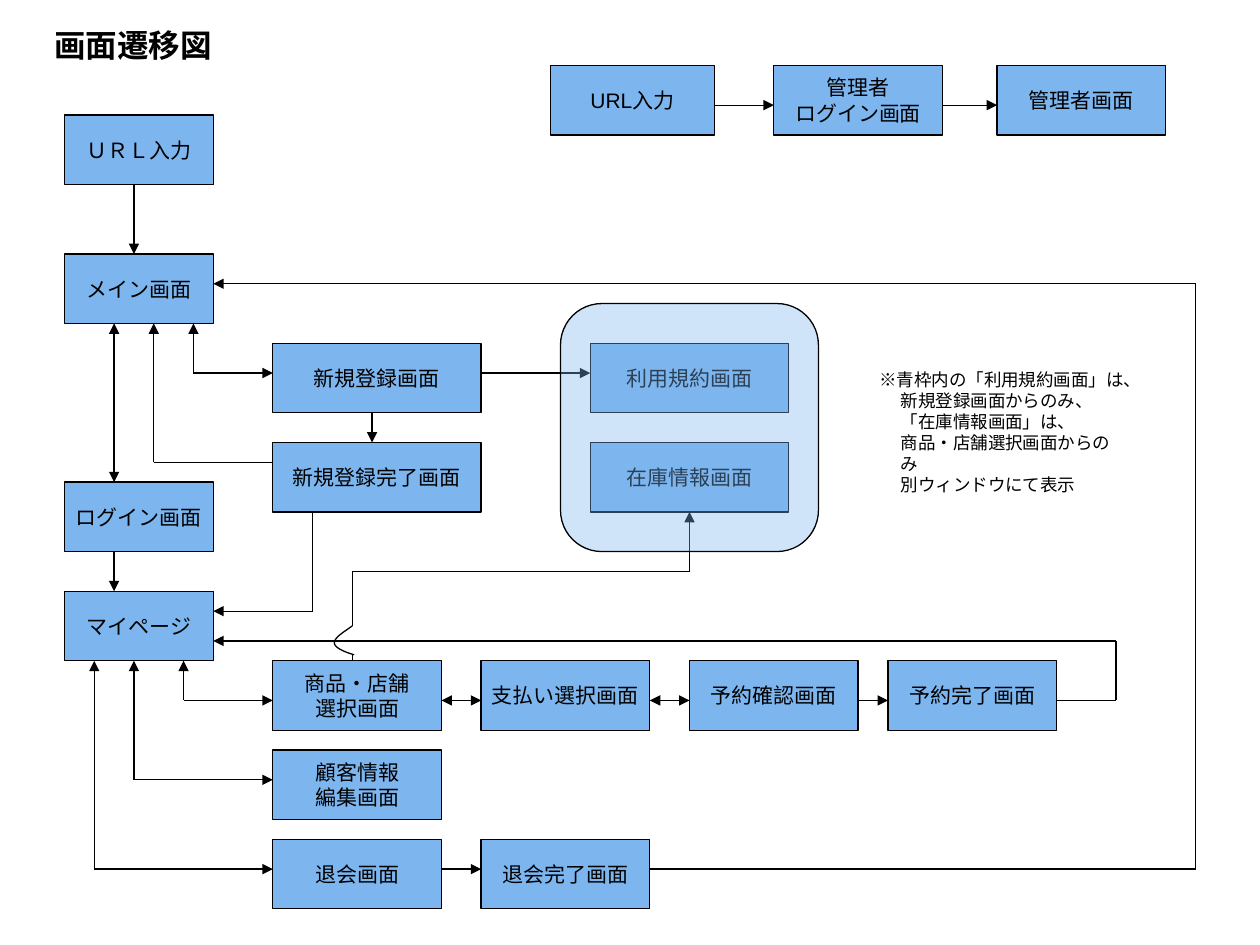
from dataclasses import dataclass

from lxml.etree import SubElement
from pptx import Presentation
from pptx.dml.color import RGBColor
from pptx.enum.shapes import MSO_CONNECTOR, MSO_SHAPE
from pptx.enum.text import MSO_ANCHOR, MSO_AUTO_SIZE, PP_ALIGN
from pptx.oxml.ns import qn
from pptx.util import Emu, Inches, Pt


@dataclass(frozen=True)
class Theme:
    font: str = "Arial"
    ink: RGBColor = RGBColor(0x00, 0x00, 0x00)
    box: RGBColor = RGBColor(0x7D, 0xB6, 0xEF)
    panel_alpha: int = 36000
    title_size: Pt = Pt(18)
    box_size: Pt = Pt(12)
    note_size: Pt = Pt(10)
    line_width: Pt = Pt(0.75)


@dataclass(frozen=True)
class Area:
    column: float
    row: float
    columns: float
    rows: float = 7

    def lengths(self) -> tuple:
        return x(self.column), y(self.row), Emu(int(self.columns * CELL)), Emu(int(self.rows * CELL))


@dataclass(frozen=True)
class Screen:
    label: str
    area: Area


@dataclass(frozen=True)
class Route:
    points: tuple
    start_arrow: bool = False
    end_arrow: bool = True


THEME = Theme()
SLIDE_WIDTH, SLIDE_HEIGHT = Inches(10), Inches(7.5)
CELL = SLIDE_WIDTH / 127
TOP_OFFSET = 0.6

LEFT, SECOND, THIRD, POPUP = 6.5, 27.5, 48.5, 59.5
MAIN_EDGE, MAIN_BOTTOM, MY_PAGE_BOTTOM = 21.5, 32, 66
NARROW, STANDARD, POPUP_WIDTH, WIDE = 15, 17, 20, 21
ADMIN_ROW, FLOW_ROW, EDIT_ROW, LEAVE_ROW = 6, 66, 75, 84

SCREENS = (
    Screen("ＵＲＬ入力", Area(LEFT, 11, NARROW)),
    Screen("メイン画面", Area(LEFT, 25, NARROW)),
    Screen("ログイン画面", Area(LEFT, 48, NARROW)),
    Screen("マイページ", Area(LEFT, 59, NARROW)),
    Screen("新規登録画面", Area(SECOND, 34, WIDE)),
    Screen("新規登録完了画面", Area(SECOND, 44, WIDE)),
    Screen("利用規約画面", Area(POPUP, 34, POPUP_WIDTH)),
    Screen("在庫情報画面", Area(POPUP, 44, POPUP_WIDTH)),
    Screen("商品・店舗\n選択画面", Area(SECOND, FLOW_ROW, STANDARD)),
    Screen("支払い選択画面", Area(THIRD, FLOW_ROW, STANDARD)),
    Screen("予約確認画面", Area(69.5, FLOW_ROW, STANDARD)),
    Screen("予約完了画面", Area(89.5, FLOW_ROW, STANDARD)),
    Screen("顧客情報\n編集画面", Area(SECOND, EDIT_ROW, STANDARD)),
    Screen("退会画面", Area(SECOND, LEAVE_ROW, STANDARD)),
    Screen("退会完了画面", Area(THIRD, LEAVE_ROW, STANDARD)),
    Screen("URL入力", Area(55.5, ADMIN_ROW, 16.5)),
    Screen("管理者\nログイン画面", Area(78, ADMIN_ROW, STANDARD)),
    Screen("管理者画面", Area(100.5, ADMIN_ROW, STANDARD)),
)

ROUTES = (
    Route(((13.5, 18), (13.5, 25))),
    Route(((11.5, MAIN_BOTTOM), (11.5, 48)), start_arrow=True),
    Route(((11.5, 55), (11.5, 59))),
    Route(((19.5, MAIN_BOTTOM), (19.5, 37), (SECOND, 37)), start_arrow=True),
    Route(((SECOND, 46), (15.5, 46), (15.5, MAIN_BOTTOM))),
    Route(((37.5, 41), (37.5, 44))),
    Route(((48.5, 37), (POPUP, 37))),
    Route(((31.5, 51), (31.5, 61), (MAIN_EDGE, 61))),
    Route(((18.5, MY_PAGE_BOTTOM), (18.5, 70), (SECOND, 70)), start_arrow=True),
    Route(((13.5, MY_PAGE_BOTTOM), (13.5, 78), (SECOND, 78)), start_arrow=True),
    Route(((9.5, MY_PAGE_BOTTOM), (9.5, 87), (SECOND, 87)), start_arrow=True),
    Route(((44.5, 70), (THIRD, 70)), start_arrow=True),
    Route(((65.5, 70), (69.5, 70)), start_arrow=True),
    Route(((86.5, 70), (89.5, 70))),
    Route(((106.5, 70), (112.5, 70), (112.5, 64), (MAIN_EDGE, 64))),
    Route(((44.5, 87), (THIRD, 87))),
    Route(((65.5, 87), (120.5, 87), (120.5, 28), (MAIN_EDGE, 28))),
    Route(((35.5, 66), (35.5, 65.4)), end_arrow=False),
    Route(((35.5, 62.5), (35.5, 57), (69.5, 57), (69.5, 51))),
    Route(((72, 10), (78, 10))),
    Route(((95, 10), (100.5, 10))),
)

BRIDGE_CURVES = (
    ((35.5, 62.5), (35, 62.9), (33.7, 63.6), (33.7, 64.2)),
    ((33.7, 64.2), (33.7, 64.8), (35.3, 65.3), (35.7, 65.4)),
)
CURVE_STEPS = 10

TITLE = "画面遷移図"
TITLE_AREA = Area(4.2, 1.4, 19.3, 5.1)
PANEL_AREA = Area(56.5, 30, 26, 25)
NOTE_AREA = Area(87.4, 36, 27.2, 16.1)
NOTE_INDENT = Inches(0.17)
NOTE_LINES = (
    "※青枠内の「利用規約画面」は、",
    "新規登録画面からのみ、",
    "「在庫情報画面」は、",
    "商品・店舗選択画面からのみ",
    "別ウィンドウにて表示",
)


def x(column: float) -> Emu:
    return Emu(int(column * CELL))


def y(row: float) -> Emu:
    return Emu(int((row + TOP_OFFSET) * CELL))


def format_text(text_frame, size: Pt, alignment, bold: bool = False) -> None:
    for paragraph in text_frame.paragraphs:
        paragraph.alignment = alignment
        paragraph.font.name = THEME.font
        paragraph.font.size = size
        paragraph.font.bold = bold
        paragraph.font.color.rgb = THEME.ink


def format_line(line) -> None:
    line.color.rgb = THEME.ink
    line.width = THEME.line_width


def add_block(slide, kind, area: Area):
    shape = slide.shapes.add_shape(kind, *area.lengths())
    shape.shadow.inherit = False
    shape.fill.solid()
    shape.fill.fore_color.rgb = THEME.box
    format_line(shape.line)
    return shape


def add_screen(slide, screen: Screen) -> None:
    text_frame = add_block(slide, MSO_SHAPE.FLOWCHART_PROCESS, screen.area).text_frame
    text_frame.text = screen.label
    text_frame.word_wrap = False
    text_frame.vertical_anchor = MSO_ANCHOR.MIDDLE
    format_text(text_frame, THEME.box_size, PP_ALIGN.CENTER)


def add_route(slide, route: Route) -> None:
    last = len(route.points) - 2
    for index, (start, end) in enumerate(zip(route.points, route.points[1:])):
        connector = slide.shapes.add_connector(
            MSO_CONNECTOR.STRAIGHT, x(start[0]), y(start[1]), x(end[0]), y(end[1]))
        format_line(connector.line)
        properties = connector._element.spPr
        SubElement(properties, qn("a:effectLst"))
        line = properties.find(qn("a:ln"))
        if route.start_arrow and index == 0:
            SubElement(line, qn("a:headEnd"), type="triangle")
        if route.end_arrow and index == last:
            SubElement(line, qn("a:tailEnd"), type="triangle")


def curve_point(curve: tuple, share: float) -> tuple:
    rest = 1 - share
    weights = (rest ** 3, 3 * rest ** 2 * share, 3 * rest * share ** 2, share ** 3)
    column, row = (sum(weight * value for weight, value in zip(weights, axis)) for axis in zip(*curve))
    return x(column), y(row)


def add_bridge(slide) -> None:
    points = [curve_point(curve, step / CURVE_STEPS)
              for curve in BRIDGE_CURVES for step in range(CURVE_STEPS + 1)]
    builder = slide.shapes.build_freeform(*points[0])
    builder.add_line_segments(points[1:], close=False)
    shape = builder.convert_to_shape()
    shape.shadow.inherit = False
    shape.fill.background()
    format_line(shape.line)


def add_panel(slide) -> None:
    panel = add_block(slide, MSO_SHAPE.FLOWCHART_ALTERNATE_PROCESS, PANEL_AREA)
    color = panel._element.spPr.find(qn("a:solidFill")).find(qn("a:srgbClr"))
    SubElement(color, qn("a:alpha"), val=str(THEME.panel_alpha))


def add_note(slide) -> None:
    text_frame = slide.shapes.add_textbox(*NOTE_AREA.lengths()).text_frame
    text_frame.word_wrap = True
    text_frame.text = "\n".join(NOTE_LINES)
    format_text(text_frame, THEME.note_size, PP_ALIGN.LEFT)
    for paragraph in text_frame.paragraphs[1:]:
        paragraph._p.get_or_add_pPr().set("marL", str(NOTE_INDENT))


def set_title(slide) -> None:
    title = slide.shapes.title
    title.left, title.top, title.width, title.height = TITLE_AREA.lengths()
    text_frame = title.text_frame
    text_frame.text = TITLE
    text_frame.vertical_anchor = MSO_ANCHOR.TOP
    text_frame.auto_size = MSO_AUTO_SIZE.SHAPE_TO_FIT_TEXT
    format_text(text_frame, THEME.title_size, PP_ALIGN.LEFT, bold=True)


def main() -> None:
    presentation = Presentation()
    presentation.slide_width, presentation.slide_height = SLIDE_WIDTH, SLIDE_HEIGHT
    slide = presentation.slides.add_slide(presentation.slide_layouts[5])
    set_title(slide)
    for screen in SCREENS:
        add_screen(slide, screen)
    for route in ROUTES:
        add_route(slide, route)
    add_bridge(slide)
    add_panel(slide)
    add_note(slide)
    presentation.save("out.pptx")


if __name__ == "__main__":
    main()
